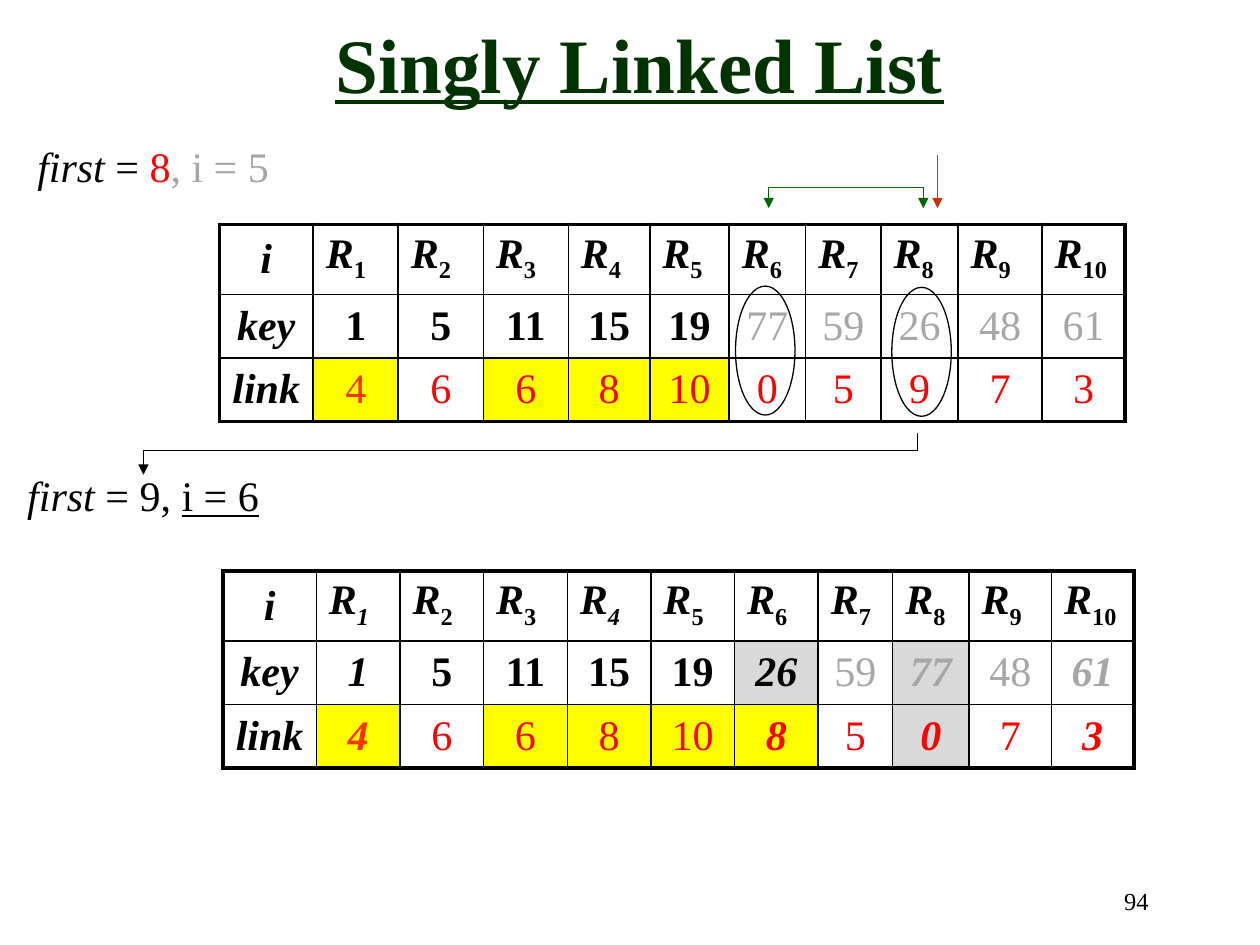
from lxml import etree
from pptx import Presentation
from pptx.dml.color import RGBColor
from pptx.enum import shapes, text
from pptx.oxml import ns
from pptx.util import Pt

BLACK = RGBColor(0, 0, 0)
RED = RGBColor(0xFF, 0, 0)
ORANGE = RGBColor(0xFF, 0x33, 0)
RUST = RGBColor(0xCC, 0x33, 0)
GREEN = RGBColor(0, 0x66, 0)
DARK_GREEN = RGBColor(0, 0x33, 0)
GREY = RGBColor(0xA6, 0xA6, 0xA6)
LIGHT_GREY = RGBColor(0xD9, 0xD9, 0xD9)
YELLOW = RGBColor(0xFF, 0xFF, 0)

CENTER = text.PP_ALIGN.CENTER
MIDDLE = text.MSO_ANCHOR.MIDDLE
BOLD_ITALIC = {"bold": True, "italic": True}
ROW_HEIGHTS = [40, 36.3, 36.3]


def add_run(p, words, color=BLACK, subscript=False, **fmt):
    r = p.add_run()
    r.text = words
    for name, value in {"name": "Times New Roman", "size": Pt(24), **fmt}.items():
        setattr(r.font, name, value)
    r.font.color.rgb = color
    if subscript:
        r._r.get_or_add_rPr().set("baseline", "-25000")


def add_text(s, box, runs, align=text.PP_ALIGN.LEFT, wrap=True):
    tf = s.shapes.add_textbox(*map(Pt, box)).text_frame
    tf.word_wrap = wrap
    p = tf.paragraphs[0]
    p.alignment = align
    for words, fmt in runs:
        add_run(p, words, **fmt)


def add_title(s, box, words):
    sp = s.shapes.title
    sp.left, sp.top, sp.width, sp.height = map(Pt, box)
    tf = sp.text_frame
    tf.vertical_anchor = MIDDLE
    p = tf.paragraphs[0]
    p.alignment = CENTER
    add_run(p, words, DARK_GREEN, size=Pt(44), bold=True, underline=True)


def add_lines(parent, points, color, arrows):
    """Join the points by straight lines; arrows holds the indexes of points with a head."""
    for i, (start, end) in enumerate(zip(points, points[1:])):
        line = parent.shapes.add_connector(
            shapes.MSO_CONNECTOR.STRAIGHT, *map(Pt, (*start, *end)))
        line.line.color.rgb = color
        line.line.width = Pt(0.75)
        ln = line.line._get_or_add_ln()
        if i == 0 and 0 in arrows:
            etree.SubElement(ln, ns.qn("a:headEnd"), type="triangle")
        if i + 1 in arrows:
            etree.SubElement(ln, ns.qn("a:tailEnd"), type="triangle")
        etree.SubElement(line._element.spPr, ns.qn("a:effectLst"))


def add_ellipse(s, box):
    sp = s.shapes.add_shape(shapes.MSO_SHAPE.OVAL, *map(Pt, box))
    sp.shadow.inherit = False
    sp.fill.background()
    sp.line.color.rgb = BLACK
    sp.line.width = Pt(0.75)


def set_borders(cell, outer):
    """Draw all four sides, with the sides named in outer thicker."""
    tc_pr = cell._tc.get_or_add_tcPr()
    for side in "LRTB":
        width = Pt(2.25 if side in outer else 1)
        ln = etree.SubElement(tc_pr, ns.qn(f"a:ln{side}"), w=str(int(width)))
        fill = etree.SubElement(ln, ns.qn("a:solidFill"))
        etree.SubElement(fill, ns.qn("a:srgbClr"), val=str(BLACK))


def add_record_table(s, left, top, widths, keys, links, done,
                     linked, swapped=(), slanted=(), slanted_subs=()):
    """Table of records R1 to R10, of which the first `done` are sorted.

    linked: columns with a yellow link; swapped: cells with a grey fill;
    slanted: columns in bold italics; slanted_subs: columns with an italic subscript.
    """
    grid = [["i", *range(1, len(keys) + 1)], ["key", *keys], ["link", *links]]
    last_row, last_col = len(grid) - 1, len(widths) - 1
    tbl = s.shapes.add_table(
        len(grid), len(widths), *map(Pt, (left, top, sum(widths), sum(ROW_HEIGHTS)))).table
    tbl.first_row = tbl.horz_banding = False
    for column, width in zip(tbl.columns, widths):
        column.width = Pt(width)
    for row, height in zip(tbl.rows, ROW_HEIGHTS):
        row.height = Pt(height)

    for i, values in enumerate(grid):
        for j, value in enumerate(values):
            cell = tbl.cell(i, j)
            sides = {"L": j == 0, "R": j == last_col, "T": i == 0, "B": i == last_row}
            set_borders(cell, [side for side, on in sides.items() if on])
            if (i, j) in swapped:
                cell.fill.solid()
                cell.fill.fore_color.rgb = LIGHT_GREY
            elif i == last_row and j in linked:
                cell.fill.solid()
                cell.fill.fore_color.rgb = YELLOW
            else:
                cell.fill.background()

            p = cell.text_frame.paragraphs[0]
            if i == 0 and j > 0:
                add_run(p, "R", **BOLD_ITALIC)
                add_run(p, str(value), subscript=True, bold=True, italic=j in slanted_subs)
                continue
            p.alignment = CENTER
            cell.vertical_anchor = MIDDLE
            color, bold = BLACK, True
            if j > 0 and i == last_row:
                color, bold = (ORANGE if j == 1 else RED), False
            elif j > done:
                color, bold = GREY, False
            add_run(p, str(value), color, bold=bold or j in slanted,
                    italic=j == 0 or j in slanted)


def main():
    prs = Presentation()
    prs.slide_width, prs.slide_height = Pt(720), Pt(540)
    s = prs.slides.add_slide(prs.slide_layouts[5])

    add_title(s, (105, 0, 521, 72), "Singly Linked List")
    add_text(s, (513.5, 502.5, 150, 36), [("94", {"size": Pt(14)})], text.PP_ALIGN.RIGHT)
    add_text(s, (8.5, 264.5, 158.5, 36), [
        ("first", {"italic": True}),
        (" = 9, ", {}),
        ("i = 6", {"underline": True})])
    add_text(s, (14.2, 77, 148.5, 36.5), [
        ("first ", {"italic": True}),
        ("= ", {}),
        ("8", {"color": RED}),
        (", i = 5", {"color": GREY})], wrap=False)

    add_record_table(
        s, 125.3, 128.2,
        [53.7, 48.6, 48.6, 48.6, 46.6, 45.4, 43.7, 43.1, 44, 48, 47.4],
        keys=[1, 5, 11, 15, 19, 77, 59, 26, 48, 61],
        links=[4, 6, 6, 8, 10, 0, 5, 9, 7, 3],
        done=5, linked={1, 3, 4, 5})
    add_record_table(
        s, 127.4, 326.2,
        [53.4] + [47.8] * 6 + [42.6, 43.7, 47.1, 47.1],
        keys=[1, 5, 11, 15, 19, 26, 59, 77, 48, 61],
        links=[4, 6, 6, 8, 10, 8, 5, 0, 7, 3],
        done=6, linked={1, 3, 4, 5, 6}, swapped={(1, 6), (1, 8), (2, 8)},
        slanted={1, 6, 8, 10}, slanted_subs={1, 4})

    swap = s.shapes.add_group_shape()
    add_lines(swap, [(439.3, 119), (439.3, 107), (527.6, 107), (527.6, 119)], GREEN, {0, 3})
    add_lines(s, [(535.7, 88.5), (535.7, 119)], RUST, {1})
    for left, top in [(420.3, 163.5), (509.6, 164.2)]:
        add_ellipse(s, (left, top, 34, 73.7))
    next_first = s.shapes.add_group_shape()
    add_lines(next_first, [(524.3, 247.5), (524.3, 257.6), (82, 257.6), (82, 271.3)],
              BLACK, {3})

    prs.save("out.pptx")


if __name__ == "__main__":
    main()
